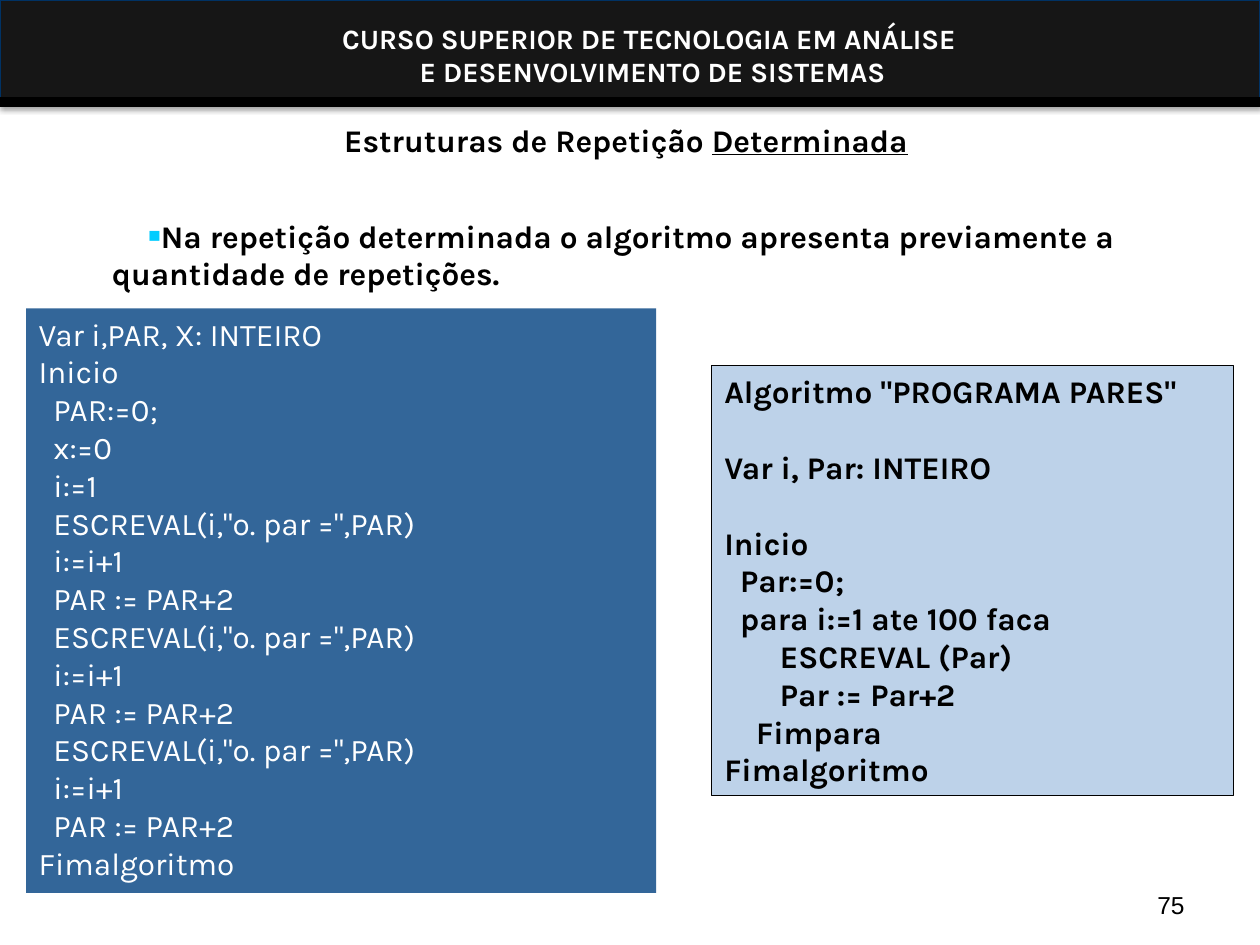
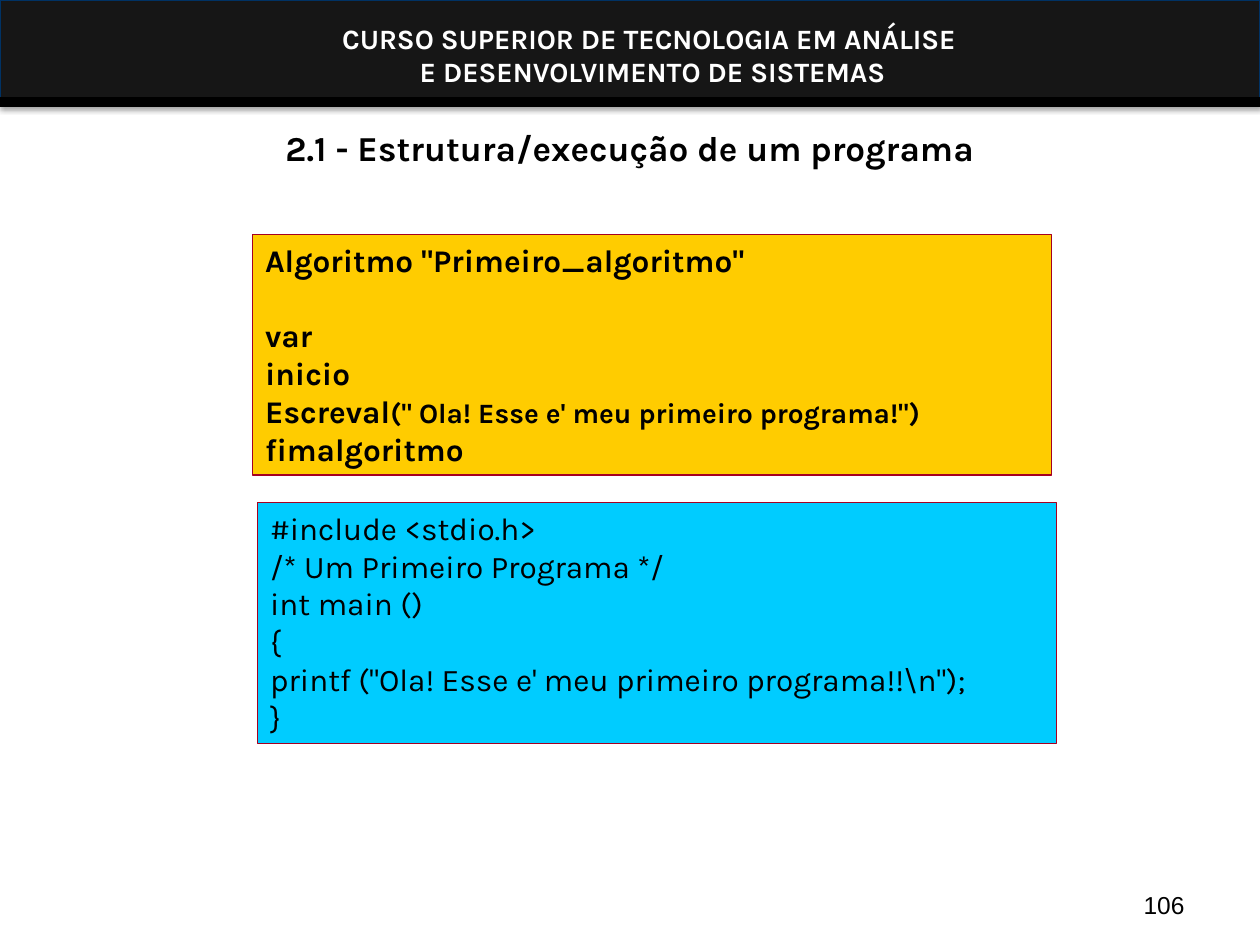
import lxml.etree
import pptx
import pptx.dml.color
import pptx.enum.shapes
import pptx.enum.text
import pptx.oxml
import pptx.oxml.ns
import pptx.util

Pt = pptx.util.Pt
ALIGN = pptx.enum.text.PP_ALIGN
ANCHOR = pptx.enum.text.MSO_ANCHOR
NS = pptx.oxml.ns.nsdecls("a")

BLACK, WHITE, CYAN, RED = "000000", "FFFFFF", "00CCFF", "A50021"
BAND, BAND_EDGE = "161616", "003264"
LINE_HEIGHT = 21.6
BASE = {"name": "Karla", "size": Pt(18), "bold": False}
BOLD = {"bold": True}

COURSE = ["CURSO SUPERIOR DE TECNOLOGIA EM ANÁLISE ", "E DESENVOLVIMENTO DE SISTEMAS"]
STEP = ["  i:=i+1", "  PAR := PAR+2"]
PRINT = '  ESCREVAL(i,"o. par =",PAR)'
UNROLLED = ["Var i,PAR, X: INTEIRO", "Inicio", "  PAR:=0;", "  x:=0", "  i:=1",
            *[PRINT, *STEP] * 3, "Fimalgoritmo"]
LOOP = ['Algoritmo "PROGRAMA PARES"', "", "Var i, Par: INTEIRO", "", "Inicio",
        "  Par:=0;", "  para i:=1 ate 100 faca", "       ESCREVAL (Par)",
        "       Par := Par+2", "    Fimpara", "Fimalgoritmo"]
FIRST_ALGORITHM = [
    'Algoritmo "Primeiro_algoritmo"', "", "var", "inicio",
    [("Escreval", {}), ("(\" Ola! Esse e' meu primeiro programa!\")", {"size": Pt(16)})],
    "fimalgoritmo"]
FIRST_C = ["#include <stdio.h>", "/* Um Primeiro Programa */", "int main ()", "{",
           "printf (\"Ola! Esse e' meu primeiro programa!!\\n\");", "}"]


def rgb(value):
    return pptx.dml.color.RGBColor.from_string(value)


class Deck:
    """Holds the lesson style and the slide being drawn."""

    def __init__(self):
        self.prs = pptx.Presentation()
        self.prs.slide_width, self.prs.slide_height = Pt(720), Pt(540)
        self.s = None

    def slide(self, number):
        self.s = self.prs.slides.add_slide(self.prs.slide_layouts[6])
        self.band()
        self.text(COURSE, (93.6, 8.6, 558.7, 46), WHITE, {**BOLD, "size": Pt(16)},
                  align=ALIGN.CENTER)
        self.rule(58.3)
        self.text([number], (516.2, 491.8, 167.8, 37.4), BLACK,
                  {"name": "Arial", "size": Pt(14)}, ALIGN.RIGHT, ANCHOR.BOTTOM)

    def rect(self, box, fill, line=None):
        sp = self.s.shapes.add_shape(pptx.enum.shapes.MSO_SHAPE.RECTANGLE, *map(Pt, box))
        sp.shadow.inherit = False
        sp.fill.solid()
        sp.fill.fore_color.rgb = rgb(fill)
        if line:
            sp.line.color.rgb = rgb(line)
            sp.line.width = Pt(0.75)
        else:
            sp.line.fill.background()
        return sp

    def band(self):
        sp = self.rect((0, 0, 720, 60.5), BAND, BAND_EDGE)
        effects = sp._element.spPr.find(pptx.oxml.ns.qn("a:effectLst"))
        effects.append(pptx.oxml.parse_xml(
            f'<a:outerShdw {NS} blurRad="{Pt(3.1)}" dist="{Pt(1.8)}" dir="5400000" '
            f'rotWithShape="0"><a:srgbClr val="{BLACK}"><a:alpha val="35000"/>'
            '</a:srgbClr></a:outerShdw>'))

    def rule(self, y):
        sp = self.s.shapes.add_connector(
            pptx.enum.shapes.MSO_CONNECTOR.STRAIGHT, 0, Pt(y), Pt(720), Pt(y))
        sp.line.color.rgb = rgb(BLACK)
        sp.line.width = Pt(6)
        lxml.etree.SubElement(sp._element.spPr, pptx.oxml.ns.qn("a:effectLst"))

    def fill_text(self, sp, lines, color, fmt, align=ALIGN.LEFT, anchor=ANCHOR.TOP):
        tf = sp.text_frame
        tf.word_wrap = True
        tf.vertical_anchor = anchor
        gap = 0
        for i, line in enumerate(lines):
            if not line:
                gap += LINE_HEIGHT
                continue
            p = tf.add_paragraph() if i else tf.paragraphs[0]
            p.alignment = align
            if gap:
                p.space_before = Pt(gap)
                gap = 0
            runs = [(line, {})] if isinstance(line, str) else line
            for text, extra in runs:
                r = p.add_run()
                r.text = text
                r.font.color.rgb = rgb(color)
                for key, value in {**BASE, **fmt, **extra}.items():
                    setattr(r.font, key, value)

    def text(self, lines, box, color, fmt, align=ALIGN.LEFT, anchor=ANCHOR.TOP):
        sp = self.s.shapes.add_textbox(*map(Pt, box))
        self.fill_text(sp, lines, color, fmt, align, anchor)
        return sp

    def title(self, runs, box, size, anchor=ANCHOR.TOP):
        self.text([runs], box, BLACK, {**BOLD, "size": Pt(size)}, ALIGN.CENTER, anchor)

    def bullet(self, text, box):
        sp = self.text([text], box, BLACK, BOLD)
        pPr = sp.text_frame.paragraphs[0]._p.get_or_add_pPr()
        for key, value in {"marL": Pt(14.4), "indent": Pt(20.9)}.items():
            pPr.set(key, str(value))
        for xml in (f'<a:buClr {NS}><a:srgbClr val="{CYAN}"/></a:buClr>',
                    f'<a:buSzPct {NS} val="65000"/>',
                    f'<a:buFont {NS} typeface="Arial"/>',
                    f'<a:buChar {NS} char="■"/>'):
            pPr.append(pptx.oxml.parse_xml(xml))

    def code(self, lines, box, fill, line=None, color=BLACK, fmt=BOLD, anchor=ANCHOR.TOP):
        self.fill_text(self.rect(box, fill, line), lines, color, fmt, anchor=anchor)


def main():
    deck = Deck()

    deck.slide("75")
    deck.bullet("Na repetição determinada o algoritmo apresenta previamente a "
                "quantidade de repetições.", (42.5, 120.2, 648, 54))
    deck.title([("Estruturas de Repetição ", {}), ("Determinada", {"underline": True}),
                (" ", {})], (0, 65.5, 720, 29), 18)
    deck.code(LOOP, (406.8, 208.8, 298.1, 245.7), "BDD2E9", BLACK, anchor=ANCHOR.MIDDLE)
    deck.code(UNROLLED, (15, 176.2, 360, 334), "336699", color=WHITE, fmt={})

    deck.slide("106")
    deck.title("2.1 - Estrutura/execução de um programa", (36, 30.2, 648, 108), 20,
               ANCHOR.MIDDLE)
    deck.code(FIRST_ALGORITHM, (144.4, 134, 456.5, 137.5), "FFCC00", RED)
    deck.code(FIRST_C, (147.3, 287.2, 456.5, 137.5), CYAN, RED, fmt={})

    deck.prs.save("out.pptx")


if __name__ == "__main__":
    main()
